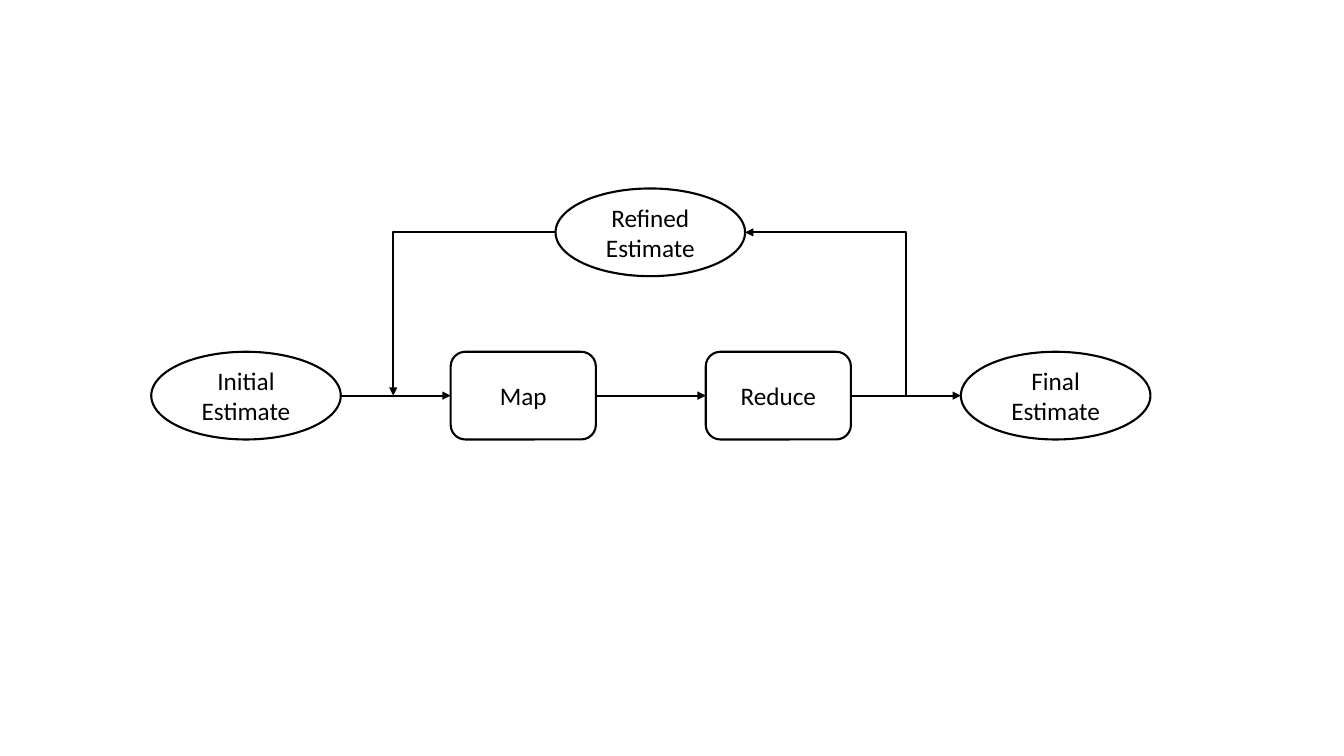
from dataclasses import dataclass

from lxml import etree
from pptx import Presentation
from pptx import util as u
from pptx.dml.color import RGBColor
from pptx.enum import shapes, text
from pptx.oxml.ns import qn

COLORS = {"ink": "000000"}
FONT = "Calibri"
CELL = 0.1  # inches per grid column and row
GAP = 10.9  # columns between neighbouring steps
ROW_HEIGHT = 8.7
STEP_TOP, REFINED_TOP = 34.9, 18.7
OVAL, BLOCK = shapes.MSO_SHAPE.OVAL, shapes.MSO_SHAPE.ROUNDED_RECTANGLE
WIDTHS = {OVAL: 18.8, BLOCK: 14.4}


@dataclass
class Node:
    """A labelled step, placed in grid cells."""
    lines: tuple[str, ...]
    kind: shapes.MSO_SHAPE
    left: float
    top: float = STEP_TOP

    @property
    def right(self) -> float:
        """Right edge in columns."""
        return self.left + WIDTHS[self.kind]

    @property
    def middle(self) -> float:
        """Vertical centre in rows."""
        return self.top + ROW_HEIGHT / 2


@dataclass
class Arrow:
    """A connector between two grid points; the arrowhead sits at one end."""
    start: tuple[float, float]
    end: tuple[float, float]
    bent: bool = False
    head: str = "tailEnd"


def cells(count: float) -> int:
    """Turn grid cells into a slide length."""
    return u.Inches(count * CELL)


def style_line(line) -> None:
    """Give an outline or connector the common stroke."""
    line.color.rgb = RGBColor.from_string(COLORS["ink"])
    line.width = u.Pt(1.5)


def draw_node(page, node: Node) -> None:
    """Draw a step with its centred label."""
    box = page.shapes.add_shape(node.kind, cells(node.left), cells(node.top),
                                cells(WIDTHS[node.kind]), cells(ROW_HEIGHT))
    box.shadow.inherit = False
    box.fill.background()
    style_line(box.line)
    frame = box.text_frame
    frame.word_wrap = True
    frame.vertical_anchor = text.MSO_ANCHOR.MIDDLE
    frame.margin_left = frame.margin_right = 0
    frame.margin_top = frame.margin_bottom = 0
    frame.text = "\n".join(node.lines)
    for para in frame.paragraphs:
        para.alignment = text.PP_ALIGN.CENTER
        para.font.name = FONT
        para.font.size = u.Pt(18)
        para.font.color.rgb = RGBColor.from_string(COLORS["ink"])


def draw_arrow(page, arrow: Arrow) -> None:
    """Draw a straight or one-corner connector with a triangle head."""
    link = page.shapes.add_connector(
        shapes.MSO_CONNECTOR.ELBOW if arrow.bent else shapes.MSO_CONNECTOR.STRAIGHT,
        *map(cells, arrow.start + arrow.end))
    style_line(link.line)
    properties = link._element.spPr
    if arrow.bent:
        properties.find(qn("a:prstGeom")).set("prst", "bentConnector2")
    stroke = properties.find(qn("a:ln"))
    etree.SubElement(stroke, qn(f"a:{arrow.head}"), type="triangle")
    etree.SubElement(properties, qn("a:effectLst"))


deck = Presentation()
deck.slide_width, deck.slide_height = u.Inches(13.33), u.Inches(7.5)
page = deck.slides.add_slide(deck.slide_layouts[6])

steps: list[Node] = []
left = 15.0
for lines, kind in ((("Initial", "Estimate"), OVAL), (("Map",), BLOCK),
                    (("Reduce",), BLOCK), (("Final", "Estimate"), OVAL)):
    steps.append(Node(lines, kind, left))
    left = steps[-1].right + GAP
refined = Node(("Refined", "Estimate"), OVAL, 55.1, REFINED_TOP)

for node in (refined, *steps):
    draw_node(page, node)

for before, after in zip(steps, steps[1:]):
    draw_arrow(page, Arrow((before.right, before.middle), (after.left, after.middle)))

reduce_exit = steps[2].right + GAP / 2
map_entry = 39.0
draw_arrow(page, Arrow((refined.right, refined.middle),
                       (reduce_exit, steps[2].middle), True, "headEnd"))
draw_arrow(page, Arrow((refined.left, refined.middle),
                       (map_entry, steps[0].middle), True))

deck.save("out.pptx")
